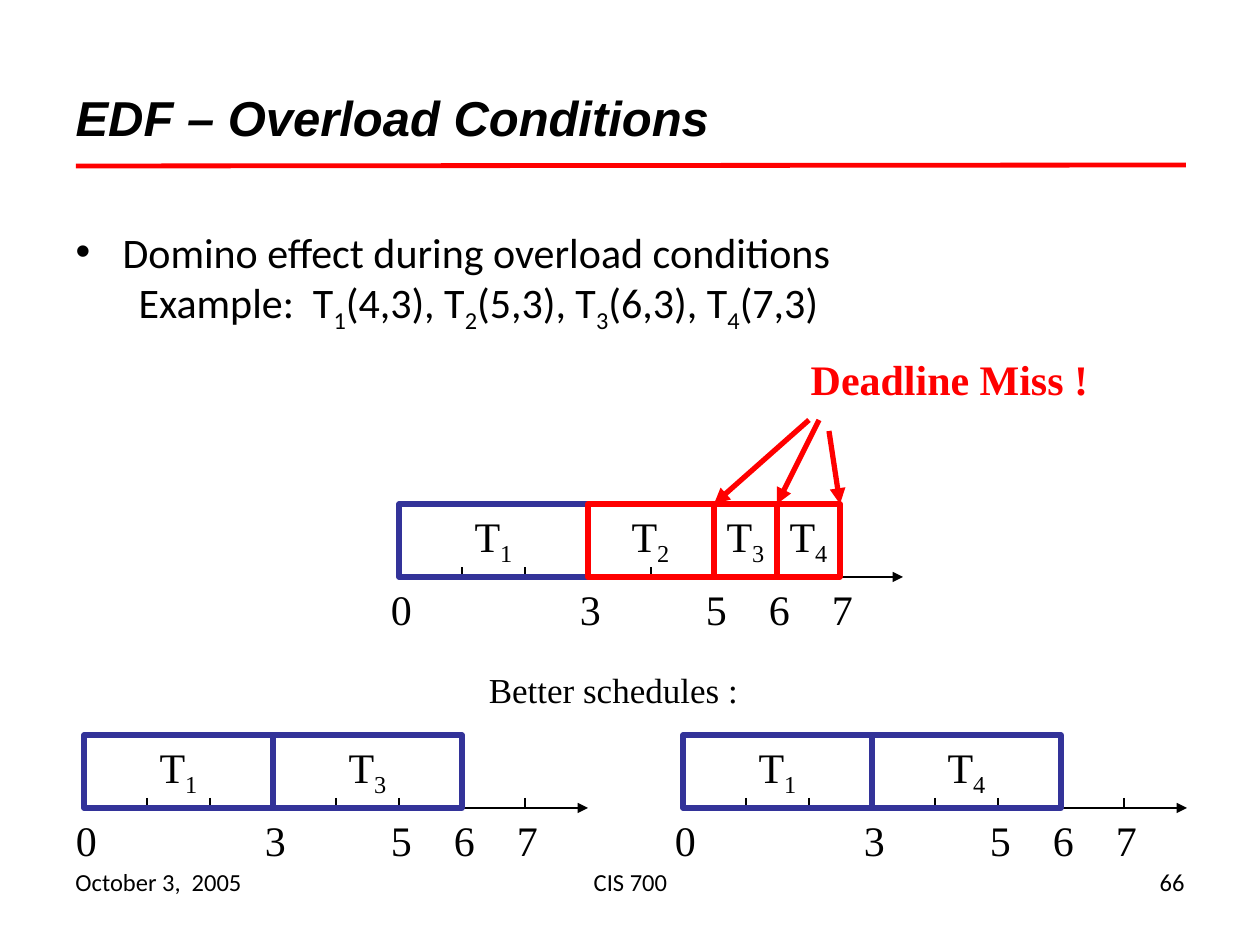
from dataclasses import dataclass
from typing import NamedTuple

from pptx import Presentation
from pptx import util as u
from pptx.dml.color import RGBColor
from pptx.enum import shapes, text
from pptx.oxml import ns
from lxml import etree

PX_PER_INCH = 126
LEFT, CENTER, RIGHT = text.PP_ALIGN.LEFT, text.PP_ALIGN.CENTER, text.PP_ALIGN.RIGHT


@dataclass(frozen=True)
class Theme:
    ink: str = "000000"
    met: str = "333399"
    missed: str = "FF0000"
    heading_font: str = "Arial"
    body_font: str = "Calibri"
    diagram_font: str = "Times New Roman"
    title_size: int = 28
    main_size: int = 24
    note_size: int = 20
    footer_size: int = 14
    thin: float = 0.75
    rule: float = 2.75
    thick: float = 3


class Job(NamedTuple):
    task: int
    start: int
    end: int
    color: str


class Schedule(NamedTuple):
    x: int
    y: int
    jobs: list[Job]
    grouped: bool


class Label(NamedTuple):
    words: str
    x: int
    y: int
    w: int
    h: int
    font: str
    size: int
    color: str = "000000"
    align: int = CENTER
    bold: bool = False
    wrap: bool = False


class Stroke(NamedTuple):
    x1: int
    y1: int
    x2: int
    y2: int
    color: str
    width: float
    arrow: bool = False


T = Theme()
UNIT = 63
JOB_H = 73
TICK_H = 10
MARKS = (0, 3, 5, 6, 7)

SCHEDULES = [
    Schedule(399, 504, [Job(1, 0, 3, T.met), Job(2, 3, 5, T.missed),
                        Job(3, 5, 6, T.missed), Job(4, 6, 7, T.missed)], False),
    Schedule(84, 735, [Job(1, 0, 3, T.met), Job(3, 3, 6, T.met)], True),
    Schedule(683, 735, [Job(1, 0, 3, T.met), Job(4, 3, 6, T.met)], True),
]
LABELS = [
    Label("Deadline Miss !", 798, 347, 303, 63, T.diagram_font, T.main_size, T.missed, bold=True),
    Label("Better schedules :", 476, 662, 275, 55, T.diagram_font, T.note_size),
    Label("October 3,  2005", 63, 861, 294, 66, T.body_font, T.footer_size, align=LEFT, wrap=True),
    Label("CIS 700", 431, 861, 399, 66, T.body_font, T.footer_size, wrap=True),
    Label("66", 903, 861, 294, 66, T.body_font, T.footer_size, align=RIGHT, wrap=True),
]
STROKES = [
    Stroke(76, 166, 1186, 165, T.missed, T.rule),
    Stroke(809, 420, 714, 504, T.missed, T.thick, True),
    Stroke(819, 420, 777, 504, T.missed, T.thick, True),
    Stroke(829, 431, 840, 504, T.missed, T.thick, True),
]


def px(n: int) -> u.Emu:
    return u.Emu(round(n * 914400 / PX_PER_INCH))


def place(sp, x: int, y: int, w: int, h: int) -> None:
    sp.left, sp.top, sp.width, sp.height = px(x), px(y), px(w), px(h)


def add_run(p, words: str, font: str, size: int, color: str = T.ink,
            bold: bool = False, italic: bool = False, sub: bool = False) -> None:
    r = p.add_run()
    r.text = words
    r.font.name, r.font.size = font, u.Pt(size)
    r.font.bold, r.font.italic = bold, italic
    r.font.color.rgb = RGBColor.from_string(color)
    if sub:
        r._r.get_or_add_rPr().set("baseline", "-25000")


def add_subscripted(p, words: str, font: str, size: int,
                    color: str = T.ink, bold: bool = False) -> None:
    head, *rest = words.split("_")
    add_run(p, head, font, size, color, bold)
    for part in rest:
        add_run(p, part[0], font, size, color, bold, sub=True)
        if part[1:]:
            add_run(p, part[1:], font, size, color, bold)


def add_label(parent, label: Label) -> None:
    sp = parent.add_textbox(px(label.x), px(label.y), px(label.w), px(label.h))
    tf = sp.text_frame
    tf.word_wrap = label.wrap
    p = tf.paragraphs[0]
    p.alignment = label.align
    add_subscripted(p, label.words, label.font, label.size, label.color, label.bold)


def add_stroke(parent, s: Stroke) -> None:
    cx = parent.add_connector(shapes.MSO_CONNECTOR.STRAIGHT,
                              px(s.x1), px(s.y1), px(s.x2), px(s.y2))
    cx.line.color.rgb = RGBColor.from_string(s.color)
    cx.line.width = u.Pt(s.width)
    if s.arrow:
        etree.SubElement(cx.line._get_or_add_ln(), ns.qn("a:tailEnd"), type="triangle")
    etree.SubElement(cx._element.spPr, ns.qn("a:effectLst"))


def add_job(parent, x: int, y: int, job: Job) -> None:
    left, width = x + job.start * UNIT, (job.end - job.start) * UNIT
    sp = parent.add_shape(shapes.MSO_SHAPE.RECTANGLE, px(left), px(y), px(width), px(JOB_H))
    sp.shadow.inherit = False
    sp.fill.background()
    sp.line.color.rgb = RGBColor.from_string(job.color)
    sp.line.width = u.Pt(T.thick)
    add_label(parent, Label(f"T_{job.task}", left + (width - UNIT) // 2, y, UNIT, 71,
                            T.diagram_font, T.main_size))


def add_schedule(s, schedule: Schedule) -> None:
    parent = s.shapes.add_group_shape().shapes if schedule.grouped else s.shapes
    x, y = schedule.x, schedule.y
    axis = y + JOB_H
    add_stroke(parent, Stroke(x, axis, x + 8 * UNIT, axis, T.ink, T.thin, True))
    for i in range(8):
        tick = x + i * UNIT
        add_stroke(parent, Stroke(tick, axis - TICK_H, tick, axis, T.ink, T.thin))
    for job in schedule.jobs:
        add_job(parent, x, y, job)
    for mark in MARKS:
        add_label(parent, Label(str(mark), x + mark * UNIT - 21, axis, 47, 63,
                                T.diagram_font, T.main_size))


def set_bullet(p, indent: int, hang: int, bullet: str = "") -> None:
    pPr = p._p.get_or_add_pPr()
    pPr.set("marL", str(px(indent)))
    pPr.set("indent", str(px(-hang)))
    if bullet:
        etree.SubElement(pPr, ns.qn("a:buFont"), typeface=T.heading_font)
        etree.SubElement(pPr, ns.qn("a:buChar"), char=bullet)
    else:
        etree.SubElement(pPr, ns.qn("a:buNone"))


def fill_placeholders(s) -> None:
    title, body = s.shapes.title, s.placeholders[1]
    place(title, 63, 38, 1134, 157)
    place(body, 63, 220, 1134, 624)
    for sp, anchor in ((title, text.MSO_ANCHOR.MIDDLE), (body, text.MSO_ANCHOR.TOP)):
        sp.text_frame.auto_size = text.MSO_AUTO_SIZE.NONE
        sp.text_frame.vertical_anchor = anchor
    p = title.text_frame.paragraphs[0]
    p.alignment = LEFT
    add_run(p, "EDF – Overload Conditions", T.heading_font, T.title_size, bold=True, italic=True)

    tf = body.text_frame
    p = tf.paragraphs[0]
    set_bullet(p, 47, 47, "•")
    p.alignment, p.space_before = text.PP_ALIGN.JUSTIFY, u.Pt(0)
    add_run(p, "Domino effect during overload conditions", T.body_font, T.main_size)
    p = tf.add_paragraph()
    p.level = 1
    set_bullet(p, 63, 0)
    p.space_before = u.Pt(0)
    add_subscripted(p, "Example:  T_1(4,3), T_2(5,3), T_3(6,3), T_4(7,3)", T.body_font, T.main_size)


def main() -> None:
    prs = Presentation()
    prs.slide_width, prs.slide_height = px(1260), px(945)
    s = prs.slides.add_slide(prs.slide_layouts[1])
    fill_placeholders(s)
    for schedule in SCHEDULES:
        add_schedule(s, schedule)
    for label in LABELS:
        add_label(s.shapes, label)
    for stroke in STROKES:
        add_stroke(s.shapes, stroke)
    prs.save("out.pptx")


if __name__ == "__main__":
    main()
